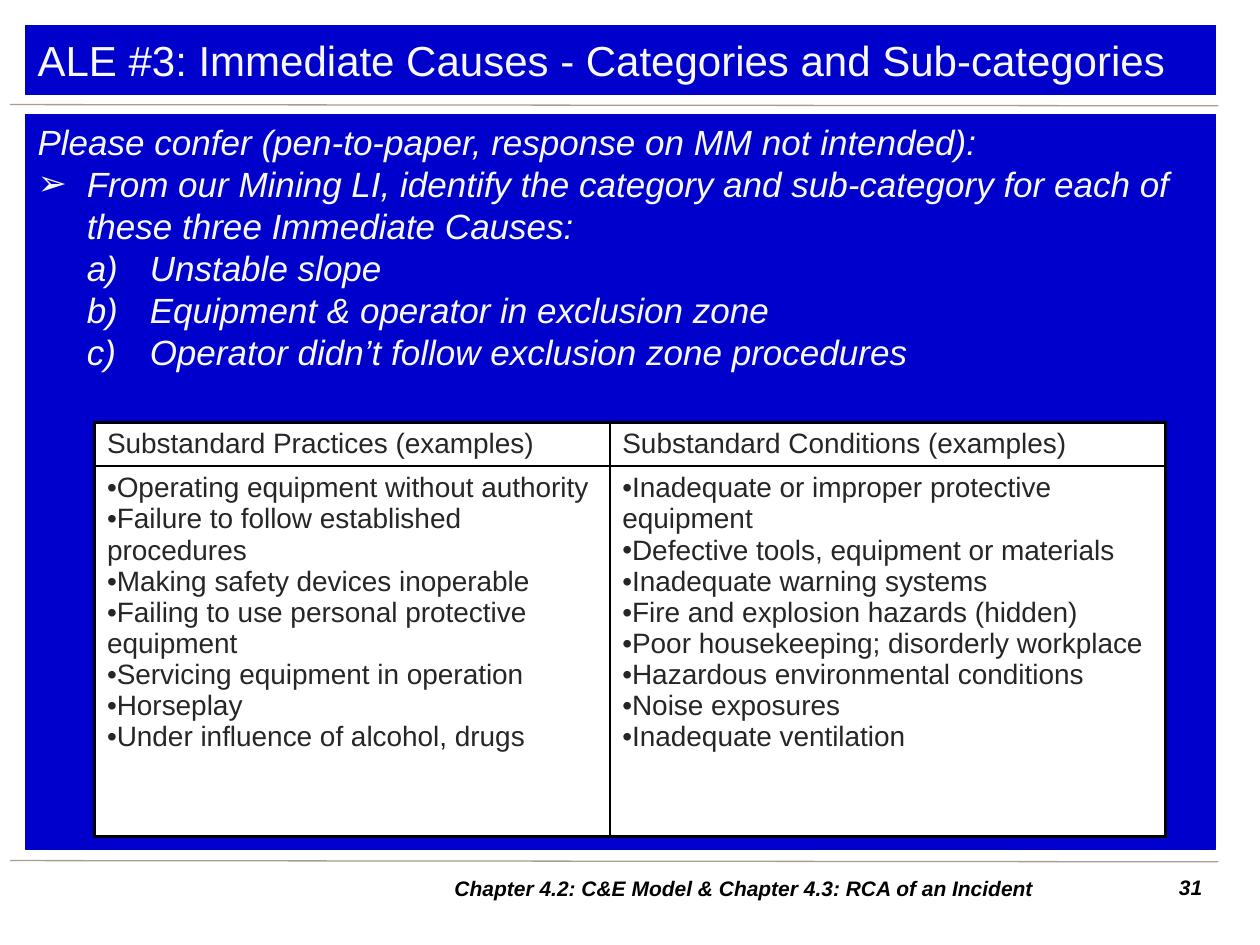
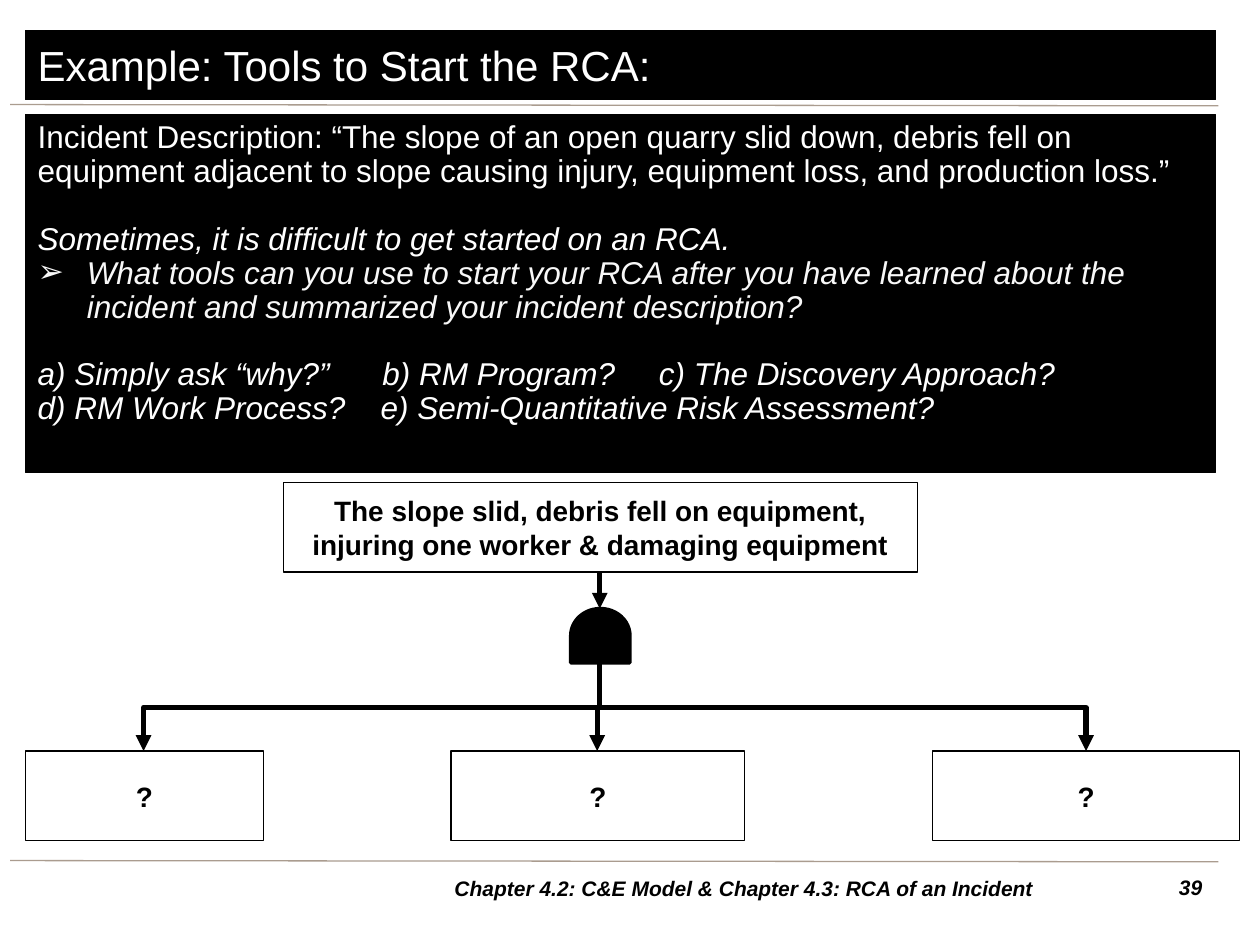
from dataclasses import dataclass

from lxml.etree import SubElement
from pptx import Presentation
from pptx.dml.color import RGBColor
from pptx.enum.shapes import MSO_CONNECTOR as CXN, MSO_SHAPE as SHAPE
from pptx.enum.text import MSO_ANCHOR as ANCHOR, PP_ALIGN as ALIGN
from pptx.oxml.ns import qn
from pptx.util import Emu, Pt

PX = 9144


@dataclass(frozen=True)
class Theme:
    """Colours, font, type sizes and line pitches shared by the slides."""
    font: str = "Arial"
    blue: str = "0000CC"
    black: str = "000000"
    white: str = "FFFFFF"
    soft: str = "F8F8F8"
    cell: str = "262626"
    rule: str = "AA9C8F"
    title: int = 24
    task: int = 20
    body: int = 18
    small: int = 16
    footer: int = 12
    task_pitch: float = 24
    body_pitch: float = 19.4
    cell_pitch: float = 17.8


@dataclass(frozen=True)
class Para:
    """One paragraph; choices follow its text, each after a widened space."""
    text: str
    italic: bool = False
    bold: bool = False
    marker: str = ""
    left: int = 0
    hang: int = 0
    gap: float = 0
    choices: tuple = ()
    color: str = ""
    align: ALIGN = ALIGN.LEFT


T = Theme()
FOOTER = "Chapter 4.2: C&E Model & Chapter 4.3: RCA of an Incident"
LETTERED = "alphaLcParenR"
ARROW = dict(marker="➢", left=39, hang=39)

PRACTICES = [
    "Operating equipment without authority",
    "Failure to follow established procedures",
    "Making safety devices inoperable",
    "Failing to use personal protective equipment",
    "Servicing equipment in operation",
    "Horseplay",
    "Under influence of alcohol, drugs",
]
CONDITIONS = [
    "Inadequate or improper protective equipment",
    "Defective tools, equipment or materials",
    "Inadequate warning systems",
    "Fire and explosion hazards (hidden)",
    "Poor housekeeping; disorderly workplace",
    "Hazardous environmental conditions",
    "Noise exposures",
    "Inadequate ventilation",
]


def px(*values):
    """Turn px lengths into EMU."""
    return [Emu(round(v * PX)) for v in values]


def rgb(color):
    """Turn a hex string into a colour."""
    return RGBColor.from_string(color)


def format_marker(p, para):
    """Give a paragraph its indents and marker."""
    pPr = p._p.get_or_add_pPr()
    pPr.set("marL", str(para.left * PX))
    pPr.set("indent", str(-para.hang * PX))
    if para.marker == LETTERED:
        SubElement(pPr, qn("a:buAutoNum"), type=LETTERED)
    elif para.marker:
        SubElement(pPr, qn("a:buFont"), typeface=T.font)
        SubElement(pPr, qn("a:buChar"), char=para.marker)
    else:
        SubElement(pPr, qn("a:buNone"))


def add_choices(p, choices):
    """Append each choice after a space widened by its points."""
    for points, text in choices:
        space = p.add_run()
        space.text = " "
        space._r.get_or_add_rPr().set("spc", str(points * 100))
        p.add_run().text = text


def write(tf, paras, size, color, pitch=None):
    """Fill a text frame with formatted paragraphs."""
    tf.word_wrap = True
    for i, para in enumerate(paras):
        p = tf.add_paragraph() if i else tf.paragraphs[0]
        p.text = para.text
        add_choices(p, para.choices)
        p.alignment = para.align
        if pitch:
            p.line_spacing = Pt(pitch)
        if para.gap:
            p.space_before = Pt(para.gap)
        format_marker(p, para)
        for r in p.runs:
            r.font.name, r.font.size = T.font, Pt(size)
            r.font.bold, r.font.italic = para.bold, para.italic
            r.font.color.rgb = rgb(para.color or color)


def add_box(slide, box, line, fill=None, weight=0.75, shape=SHAPE.RECTANGLE):
    """Add a flat preset shape."""
    sp = slide.shapes.add_shape(shape, *px(*box))
    sp.shadow.inherit = False
    if fill:
        sp.fill.solid()
        sp.fill.fore_color.rgb = rgb(fill)
    else:
        sp.fill.background()
    sp.line.color.rgb = rgb(line)
    sp.line.width = Pt(weight)
    return sp


def add_line(slide, kind, ends, color, weight):
    """Add a connector without a shadow."""
    cxn = slide.shapes.add_connector(kind, *px(*ends))
    cxn.line.color.rgb = rgb(color)
    cxn.line.width = Pt(weight)
    SubElement(cxn._element.spPr, qn("a:effectLst"))
    return cxn


def add_frame(slide, number):
    """Draw the two rules, the footer and the slide number."""
    for y in (83, 683):
        add_line(slide, CXN.STRAIGHT, (8, y, 967, y + 1), T.rule, 0.75)
    for box, text, align, anchor in (
        ((906, 689, 58, 31), str(number), ALIGN.RIGHT, ANCHOR.TOP),
        ((295, 689, 591, 31), FOOTER, ALIGN.CENTER, ANCHOR.MIDDLE),
    ):
        tf = slide.shapes.add_textbox(*px(*box)).text_frame
        tf.vertical_anchor = anchor
        para = Para(text, italic=True, bold=True, align=align)
        write(tf, [para], T.footer, T.black)


def add_title(slide, top, text, band, color):
    """Draw the title band."""
    tf = add_box(slide, (20, top, 945, 55), band, band).text_frame
    tf.vertical_anchor = ANCHOR.MIDDLE
    write(tf, [Para(text)], T.title, color)


def add_panel(slide, height, band, paras, size, color, pitch):
    """Draw the coloured text panel below the title."""
    tf = add_box(slide, (20, 91, 945, height), band, band).text_frame
    tf.vertical_anchor = ANCHOR.TOP
    write(tf, paras, size, color, pitch)


def set_border(cell, side, weight):
    """Draw one side of a table cell."""
    ln = SubElement(cell._tc.get_or_add_tcPr(), qn(f"a:ln{side}"), w=str(Pt(weight)))
    fill = SubElement(ln, qn("a:solidFill"))
    SubElement(fill, qn("a:srgbClr"), val=T.black)


def add_examples(slide, box, widths, heights, columns):
    """Draw the table of examples with a heavier outer border."""
    table = slide.shapes.add_table(2, len(columns), *px(*box)).table
    table.first_row = table.horz_banding = False
    for row, height in zip(table.rows, px(*heights)):
        row.height = height
    for c, (heading, items) in enumerate(columns):
        table.columns[c].width = px(widths[c])[0]
        bullets = [Para(item, marker="•") for item in items]
        for r, paras in enumerate(([Para(heading)], bullets)):
            cell = table.cell(r, c)
            write(cell.text_frame, paras, T.small, T.cell, T.cell_pitch)
            outer = {"L": c == 0, "R": c == len(columns) - 1, "T": r == 0, "B": r == 1}
            for side, is_outer in outer.items():
                set_border(cell, side, 2 if is_outer else 1)
            cell.fill.solid()
            cell.fill.fore_color.rgb = rgb(T.white)


def add_event(slide, box, text):
    """Draw an outlined event of the cause tree."""
    sp = add_box(slide, box, T.black)
    tf = sp.text_frame
    tf.margin_left, tf.margin_top, tf.margin_right, tf.margin_bottom = px(4, 4, 4, 4)
    tf.vertical_anchor = ANCHOR.MIDDLE
    para = Para(text, bold=True, align=ALIGN.CENTER)
    write(tf, [para], T.small, T.black, T.body_pitch)
    return sp


def link_down(slide, source, source_site, target, target_site, ends):
    """Join two shapes with an elbow arrow that leaves and arrives vertically."""
    x1, y1, x2, y2 = ends
    cxn = add_line(slide, CXN.ELBOW, ends, T.black, 3)
    cxn.begin_connect(source, source_site)
    cxn.end_connect(target, target_site)
    drop, shift = y2 - y1, abs(x2 - x1)
    cxn.left, cxn.top, cxn.width, cxn.height = px(
        (x1 + x2 - drop) / 2, (y1 + y2 - shift) / 2, drop, shift)
    xfrm = cxn._element.spPr.find(qn("a:xfrm"))
    to_right = x2 > x1
    xfrm.set("rot", str((270 if to_right else 90) * 60000))
    xfrm.set("flipH", str(int(to_right)))
    xfrm.set("flipV", "0")
    SubElement(cxn.line._get_or_add_ln(), qn("a:tailEnd"), type="triangle")


def add_cause_tree(slide, left, top):
    """Draw the incident, its gate and the three open causes."""
    axis = left + 456
    incident = add_event(
        slide, (left + 205, top, 503, 71),
        "The slope slid, debris fell on equipment, "
        "injuring one worker & damaging equipment")
    gate = add_box(slide, (axis - 21, top + 98, 43, 47), T.black, T.black, 2,
                   SHAPE.FLOWCHART_DELAY)
    gate.rotation = 270
    link_down(slide, incident, 2, gate, 3, (axis, top + 71, axis, top + 100))
    for x, width in ((0, 189), (338, 233), (720, 244)):
        cause = add_event(slide, (left + x, top + 213, width, 71), "?")
        middle = left + x + width // 2
        link_down(slide, gate, 1, cause, 0, (axis, top + 144, middle, top + 213))


def build_task(slide):
    """Build the exercise on immediate causes."""
    add_frame(slide, 31)
    add_title(slide, 20, "ALE #3: Immediate Causes - Categories and Sub-categories",
              T.blue, T.soft)
    causes = ("Unstable slope", "Equipment & operator in exclusion zone",
              "Operator didn’t follow exclusion zone procedures")
    paras = [
        Para("Please confer (pen-to-paper, response on MM not intended):", italic=True),
        Para("From our Mining LI, identify the category and sub-category for each of "
             "these three Immediate Causes:", italic=True, **ARROW),
        *(Para(cause, italic=True, marker=LETTERED, left=89, hang=50)
          for cause in causes),
    ]
    add_panel(slide, 583, T.blue, paras, T.task, T.soft, T.task_pitch)
    add_examples(slide, (75, 335, 850, 329), (409, 441), (35, 294),
                 (("Substandard Practices (examples)", PRACTICES),
                  ("Substandard Conditions (examples)", CONDITIONS)))


def build_example(slide):
    """Build the example on starting an RCA."""
    add_frame(slide, 39)
    paras = [
        Para("Incident Description: “The slope of an open quarry slid down, debris fell "
             "on equipment adjacent to slope causing injury, equipment loss, and "
             "production loss.”"),
        Para("Sometimes, it is difficult to get started on an RCA.",
             italic=True, gap=T.body_pitch),
        Para("What tools can you use to start your RCA after you have learned about the "
             "incident and summarized your incident description?",
             italic=True, color=T.soft, **ARROW),
        Para("a) Simply ask “why?”", italic=True, gap=T.body_pitch,
             choices=((25, "b) RM Program?"), (20, "c) The Discovery Approach?"))),
        Para("d) RM Work Process?", italic=True,
             choices=((15, "e) Semi-Quantitative Risk Assessment?"),)),
    ]
    add_panel(slide, 284, T.black, paras, T.body, T.white, T.body_pitch)
    add_title(slide, 24, "Example: Tools to Start the RCA:", T.black, T.white)
    add_cause_tree(slide, 20, 383)


def main():
    """Build and save the deck."""
    prs = Presentation()
    prs.slide_width, prs.slide_height = px(1000, 750)
    for build in (build_task, build_example):
        build(prs.slides.add_slide(prs.slide_layouts[6]))
    prs.save("out.pptx")


if __name__ == "__main__":
    main()
